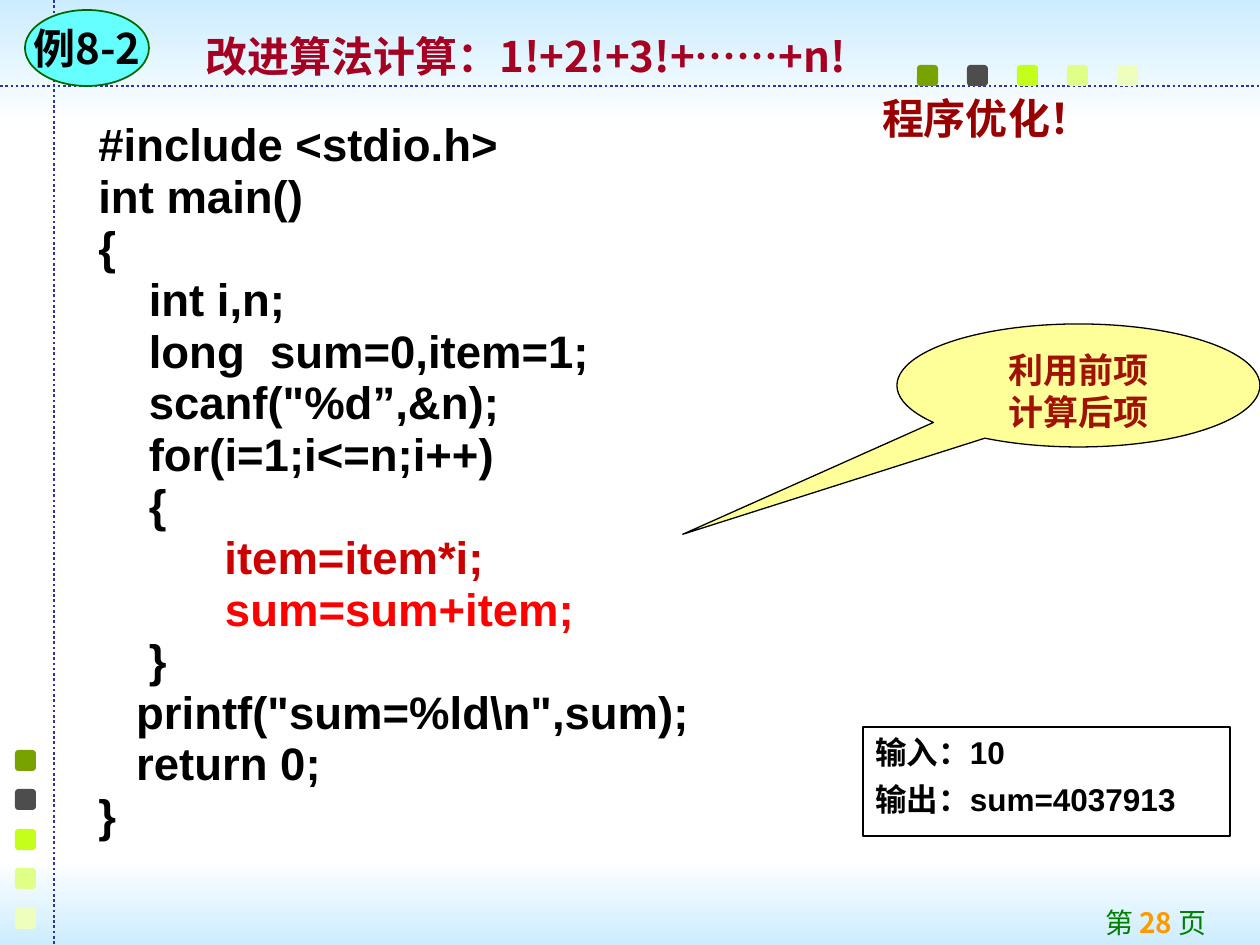
from dataclasses import dataclass

from lxml import etree
from pptx import Presentation
from pptx import util as u
from pptx.dml.color import RGBColor
from pptx.enum import dml, shapes, text
from pptx.oxml import ns


@dataclass(frozen=True)
class Theme:
    sky: str = "CCECFF"
    white: str = "FFFFFF"
    guide: str = "333399"
    squares: tuple = ("78A200", "4D4D4D", "C3FF1B", "E0FF87", "EEFFBD")
    black: str = "000000"
    title: str = "A50021"
    badge: str = "66FFFF"
    green: str = "006600"
    page: str = "008000"
    number: str = "FF9900"
    callout: str = "FFFF99"
    callout_text: str = "A01304"
    note: str = "990000"
    item: str = "CC0000"
    total: str = "FF0000"
    latin: str = "Arial"
    serif: str = "Times New Roman"
    chinese: str = "Noto Sans CJK SC"
    heading_size: int = 24
    code_size: int = 26
    callout_size: int = 20
    result_size: int = 18
    page_size: int = 16


theme = Theme()
rgb = RGBColor.from_string
scale = u.Inches(1) / 126


def px(*lengths):
    return [u.Emu(round(length * scale)) for length in lengths]


def add_run(paragraph, words, size, color, font, bold=True):
    run = paragraph.add_run()
    run.text = words
    run.font.size = u.Pt(size)
    run.font.bold = bold
    run.font.color.rgb = rgb(color)
    run.font.name = font
    east_asian = etree.SubElement(run.font._element, ns.qn("a:ea"))
    east_asian.set("typeface", theme.chinese)


presentation = Presentation()
presentation.slide_width, presentation.slide_height = px(1260, 945)
slide = presentation.slides.add_slide(presentation.slide_layouts[5])
title = slide.shapes.title

for top, height, colors in (
    (0, 125, (theme.sky, theme.white)),
    (859, 86, (theme.white, theme.sky)),
):
    band = slide.shapes.add_shape(shapes.MSO_SHAPE.RECTANGLE, *px(0, top, 1260, height))
    band.shadow.inherit = False
    band.line.fill.background()
    band.fill.gradient()
    band.fill.gradient_angle = 270
    for stop, color in zip(band.fill.gradient_stops, colors):
        stop.color.rgb = rgb(color)

for ends in ((0, 86, 1260, 86), (54, 0, 54, 945)):
    guide = slide.shapes.add_connector(shapes.MSO_CONNECTOR.STRAIGHT, *px(*ends))
    guide.line.color.rgb = rgb(theme.guide)
    guide.line.width = u.Pt(1.5)
    guide.line.dash_style = dml.MSO_LINE.ROUND_DOT
    etree.SubElement(guide._element.spPr, ns.qn("a:effectLst"))

for index, color in enumerate(theme.squares):
    for left, top in ((917 + index * 50, 65), (15, 750 + index * 158 // 4)):
        square = slide.shapes.add_shape(
            shapes.MSO_SHAPE.ROUNDED_RECTANGLE, *px(left, top, 21, 21)
        )
        square.shadow.inherit = False
        square.line.fill.background()
        square.fill.solid()
        square.fill.fore_color.rgb = rgb(color)

page = slide.shapes.add_textbox(*px(888, 900, 331, 45)).text_frame
page.word_wrap = True
page.vertical_anchor = text.MSO_ANCHOR.MIDDLE
paragraph = page.paragraphs[0]
paragraph.alignment = text.PP_ALIGN.RIGHT
for words, color, bold in (
    ("第 ", theme.page, False),
    ("28 ", theme.number, True),
    ("页", theme.page, False),
):
    add_run(paragraph, words, theme.page_size, color, theme.chinese, bold)

title.element.getparent().append(title.element)
title.left, title.top, title.width, title.height = px(193, 10, 853, 91)
title.text_frame.vertical_anchor = text.MSO_ANCHOR.MIDDLE
paragraph = title.text_frame.paragraphs[0]
paragraph.alignment = text.PP_ALIGN.LEFT
add_run(paragraph, "改进算法计算：1!+2!+3!+……+n!", theme.heading_size, theme.title, theme.chinese)

code_lines = (
    (("#include <stdio.h>", theme.black),),
    (("int main()", theme.black),),
    (("{", theme.black),),
    (("    int i,n;", theme.black),),
    (("    long  sum=0,item=1;", theme.black),),
    (('    scanf("%d”,&n);', theme.black),),
    (("    for(i=1;i<=n;i++)", theme.black),),
    (("    {", theme.black),),
    (("          item=item*i;", theme.item),),
    (("          ", theme.black), ("sum=sum+item;", theme.total)),
    (("    }", theme.black),),
    (('   printf("sum=%ld\\n",sum);', theme.black),),
    (("   return 0;", theme.black),),
    (("}", theme.black),),
)
code = slide.shapes.add_textbox(*px(86, 117, 1072, 774)).text_frame
code.word_wrap = True
code.margin_top = px(12)[0]
for index, runs in enumerate(code_lines):
    paragraph = code.paragraphs[0] if index == 0 else code.add_paragraph()
    paragraph.line_spacing = 0.75
    paragraph.space_before = u.Pt(6.1 if index else 0)
    for words, color in runs:
        add_run(paragraph, words, theme.code_size, color, theme.latin)

badge = slide.shapes.add_shape(shapes.MSO_SHAPE.OVAL, *px(25, 10, 124, 76))
badge.shadow.inherit = False
badge.fill.solid()
badge.fill.fore_color.rgb = rgb(theme.badge)
badge.line.color.rgb = rgb(theme.green)
badge.line.width = u.Pt(1)
badge.text_frame.word_wrap = False
paragraph = badge.text_frame.paragraphs[0]
paragraph.alignment = text.PP_ALIGN.CENTER
add_run(paragraph, "例8-2", theme.heading_size, theme.black, theme.chinese)

callout = slide.shapes.add_shape(shapes.MSO_SHAPE.OVAL_CALLOUT, *px(897, 324, 363, 123))
callout.shadow.inherit = False
callout.adjustments[0] = -1.09
callout.adjustments[1] = 1.21
callout.fill.solid()
callout.fill.fore_color.rgb = rgb(theme.callout)
callout.line.color.rgb = rgb(theme.black)
callout.line.width = u.Pt(0.75)
frame = callout.text_frame
frame.vertical_anchor = text.MSO_ANCHOR.TOP
for index, words in enumerate(("利用前项", "计算后项")):
    paragraph = frame.paragraphs[0] if index == 0 else frame.add_paragraph()
    paragraph.alignment = text.PP_ALIGN.CENTER
    paragraph.line_spacing = u.Pt(24)
    add_run(paragraph, words, theme.callout_size, theme.callout_text, theme.serif)

result = slide.shapes.add_textbox(*px(863, 727, 367, 109))
result.line.color.rgb = rgb(theme.black)
result.line.width = u.Pt(1)
frame = result.text_frame
frame.word_wrap = True
for index, words in enumerate(("输入：10", "输出：sum=4037913")):
    paragraph = frame.paragraphs[0] if index == 0 else frame.add_paragraph()
    paragraph.space_before = u.Pt(5 if index else 0)
    add_run(paragraph, words, theme.result_size, theme.black, theme.latin)

note = slide.shapes.add_textbox(*px(714, 86, 546, 63)).text_frame
note.word_wrap = True
note.vertical_anchor = text.MSO_ANCHOR.MIDDLE
paragraph = note.paragraphs[0]
paragraph.alignment = text.PP_ALIGN.CENTER
add_run(paragraph, "程序优化！", theme.heading_size, theme.note, theme.latin)

presentation.save("out.pptx")
